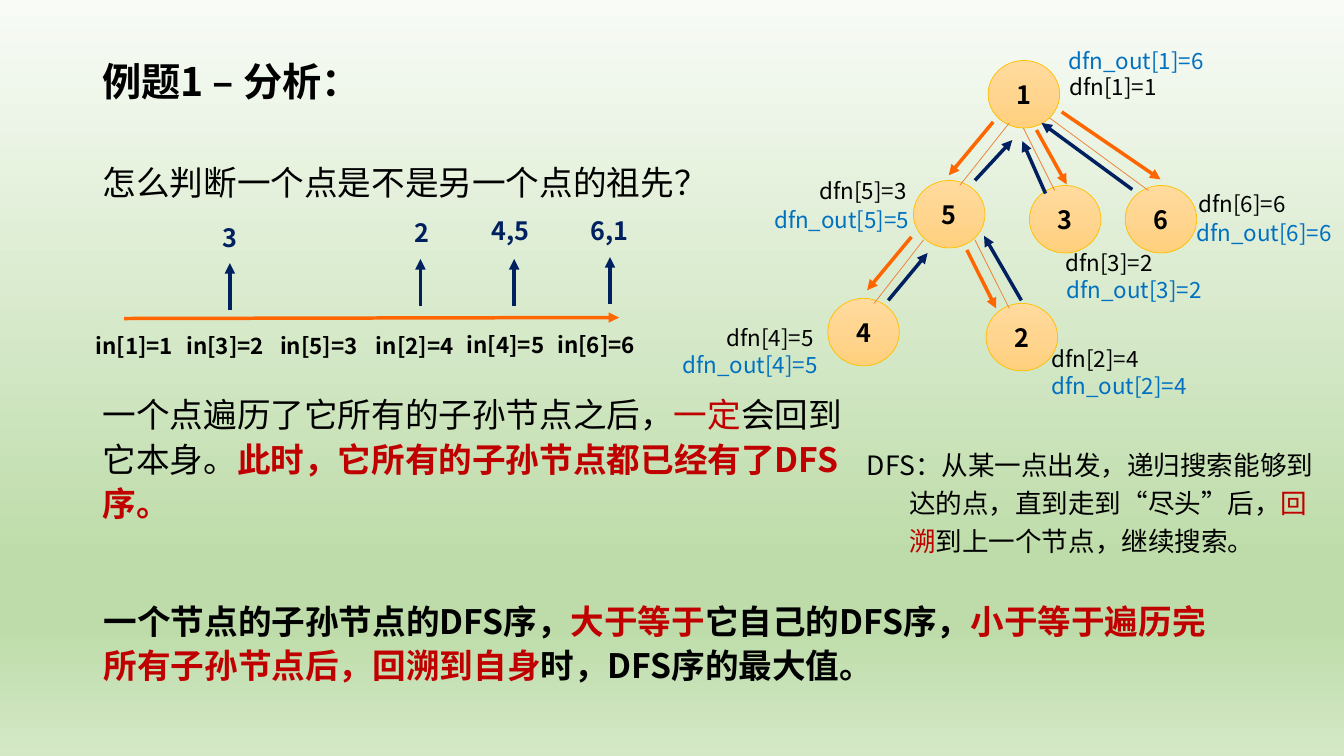
from lxml.etree import SubElement
from pptx import Presentation
from pptx.dml.color import RGBColor
from pptx.enum.shapes import MSO_CONNECTOR, MSO_SHAPE
from pptx.enum.text import MSO_ANCHOR, PP_ALIGN
from pptx.oxml.ns import qn
from pptx.util import Inches, Pt

# The slide is a grid of square cells, 133.3 columns by 75 rows
CELL = Inches(0.1)
COLS, ROWS = 133.3, 75

FONT = "Noto Sans CJK SC"
BLACK = RGBColor(0x00, 0x00, 0x00)
RED = RGBColor(0xC0, 0x00, 0x00)
BLUE = RGBColor(0x00, 0x70, 0xC0)
NAVY = RGBColor(0x00, 0x20, 0x60)
ORANGE = RGBColor(0xFF, 0x66, 0x00)
EDGE = RGBColor(0xED, 0x7D, 0x31)
GOLD = RGBColor(0xFF, 0xC0, 0x00)
NODE_STOPS = [(0, RGBColor(0xFF, 0xDB, 0x9E)), (50, RGBColor(0xFF, 0xD5, 0x90)),
              (100, RGBColor(0xFF, 0xD0, 0x7C))]
BG_STOPS = [(0, RGBColor(0xF8, 0xFB, 0xF6)), (74, RGBColor(0xBE, 0xDC, 0xAA)),
            (83, RGBColor(0xBE, 0xDC, 0xAA)), (100, RGBColor(0xD4, 0xE8, 0xC6))]

CIRCLE = MSO_SHAPE.FLOWCHART_CONNECTOR
STRAIGHT = MSO_CONNECTOR.STRAIGHT
TOP, MIDDLE, BOTTOM = MSO_ANCHOR.TOP, MSO_ANCHOR.MIDDLE, MSO_ANCHOR.BOTTOM
CENTER = PP_ALIGN.CENTER

NODE_W, NODE_H = 7.1, 6.7
LABEL_H = 3.7

# Node: position, dfn and its label position, dfn_out and its label position
TREE = {
    1: ((98, 6), 1, (105.1, 6.8), 6, (105, 4.2)),
    5: ((90.6, 17.9), 3, (80.3, 17.1), 5, (75.8, 20)),
    3: ((102.1, 18.4), 2, (104.7, 24.2), 2, (104.8, 26.9)),
    2: ((97.8, 30.1), 4, (103.3, 33.8), 4, (103.3, 36.4)),
    4: ((82.1, 29.6), 5, (71.1, 31.7), 5, (66.7, 34.3)),
    6: ((111.6, 18.4), 6, (117.9, 18.4), 6, (117.7, 21.2)),
}

# Each branch: thin edge, arrow down to the child, arrow back up
BRANCHES = [
    ((100.1, 12.2, 95.2, 18.4), (98.5, 12.1, 94.1, 17.4), (96.7, 17.9, 100.4, 13.9)),
    ((101.5, 12.7, 104.6, 18.9), (102.8, 12.9, 105.8, 18.3), (103.7, 19.2, 101.4, 14)),
    ((104.1, 11.7, 113.9, 18.9), (105.3, 11.1, 115.1, 17.8), (112.3, 18.8, 103.3, 12.2)),
    ((91.6, 23.8, 86.7, 30.1), (90.4, 23.5, 86, 28.8), (88.1, 29.8, 92, 25.1)),
    ((96.7, 23.8, 100.1, 30.6), (95.9, 24.8, 98.8, 30.6), (101.3, 29.8, 97.6, 23.4)),
]

# Visiting order on the time line: label, column, row
VISITS = [("in[1]=1", 8.5, 32.5), ("in[3]=2", 17.5, 32.5), ("in[5]=3", 26.8, 32.5),
          ("in[2]=4", 36.3, 32.5), ("in[4]=5", 45.3, 32.4), ("in[6]=6", 54.3, 32.4)]

# Nodes finished at a visit: label, label column and row, arrow column and foot
RETURNS = [("3", 21.1, 21.6, 22.8, 30.8), ("2", 40.1, 21.1, 41.7, 30.4),
           ("4,5", 47.8, 20.9, 51, 30.4), ("6,1", 57.6, 20.9, 60.5, 30.2)]


def cells(*values):
    return [round(v * CELL) for v in values]


def set_gradient(fill, element, stops):
    fill.gradient()
    fill.gradient_angle = 270
    gs_list = next(element.iter(qn("a:gsLst")))
    for gs in list(gs_list):
        gs_list.remove(gs)
    for position, color in stops:
        gs = SubElement(gs_list, qn("a:gs"), pos=str(position * 1000))
        SubElement(gs, qn("a:srgbClr"), val=str(color))


def add_runs(p, runs, size, bold=False):
    """Each run is its text, its colour and, if it differs, its weight."""
    for text, color, *weight in runs:
        r = p.add_run()
        r.text = text
        font = r.font
        font.name, font.size = FONT, Pt(size)
        font.bold = weight[0] if weight else bold
        font.color.rgb = color
        SubElement(font._element, qn("a:ea"), typeface=FONT)


def add_text(s, box, paragraphs, size, bold=False, spacing=1.0, before=(0,), anchor=TOP):
    tf = s.shapes.add_textbox(*cells(*box)).text_frame
    tf.word_wrap = True
    tf.vertical_anchor = anchor
    for i, runs in enumerate(paragraphs):
        p = tf.add_paragraph() if i else tf.paragraphs[0]
        p.line_spacing = spacing
        p.space_before = Pt(before[i])
        add_runs(p, runs, size, bold)
    return tf


def add_label(s, x, y, width, text, color, size=16, bold=False):
    add_text(s, (x, y, width, LABEL_H), [[(text, color)]], size, bold)


def add_line(s, ends, color, width=2.5, arrow=True):
    c = s.shapes.add_connector(STRAIGHT, *cells(*ends))
    c.line.color.rgb = color
    c.line.width = Pt(width)
    if arrow:
        SubElement(next(c.element.iter(qn("a:ln"))), qn("a:tailEnd"), type="triangle")
    SubElement(c.element.spPr, qn("a:effectLst"))


def add_node(s, x, y, number):
    sp = s.shapes.add_shape(CIRCLE, *cells(x, y, NODE_W, NODE_H))
    sp.shadow.inherit = False
    set_gradient(sp.fill, sp.element, NODE_STOPS)
    sp.line.color.rgb = GOLD
    sp.line.width = Pt(0.5)
    tf = sp.text_frame
    tf.vertical_anchor = MIDDLE
    p = tf.paragraphs[0]
    p.alignment = CENTER
    add_runs(p, [(str(number), BLACK)], 18, True)


def add_tree(s):
    for number, (place, dfn, dfn_at, out, out_at) in TREE.items():
        add_node(s, *place, number)
        add_label(s, *dfn_at, 11.7, f"dfn[{number}]={dfn}", BLACK)
        add_label(s, *out_at, 16.2, f"dfn_out[{number}]={out}", BLUE)
    for edge, down, up in BRANCHES:
        add_line(s, edge, EDGE, 0.5, arrow=False)
        add_line(s, down, ORANGE)
        add_line(s, up, NAVY)


def add_timeline(s):
    add_line(s, (12.3, 31.6, 61.4, 31.5), ORANGE)
    for text, x, y in VISITS:
        add_label(s, x, y, 10.9, text, BLACK, bold=True)
    for text, x, y, arrow_x, foot in RETURNS:
        add_label(s, x, y, 6.3, text, NAVY, 18, True)
        add_line(s, (arrow_x, foot, arrow_x, foot - 4.7), NAVY)


def main():
    prs = Presentation()
    prs.slide_width, prs.slide_height = cells(COLS, ROWS)
    s = prs.slides.add_slide(prs.slide_layouts[6])
    set_gradient(s.background.fill, s.element, BG_STOPS)

    # Title, question and answer
    add_text(s, (9.2, 4, 115, 6.9), [[("例题1 – 分析：", BLACK)]], 28, True, 0.9,
             anchor=BOTTOM)
    add_text(s, (9.2, 15.2, 75.6, 42.8), [
        [("怎么判断一个点是不是另一个点的祖先？", BLACK)],
        [("一个点遍历了它所有的子孙节点之后，", BLACK), ("一定", RED),
         ("会回到它本身。", BLACK),
         ("此时，它所有的子孙节点都已经有了DFS序。", RED, True)],
    ], 24, spacing=1.1, before=(10, 134))

    add_tree(s)
    add_timeline(s)

    # Definition of the search, with a hanging indent
    tf = add_text(s, (84.6, 43.4, 47.7, 12.6), [[
        ("DFS：从某一点出发，递归搜索能够到达的点，直到走到“尽头”后，", BLACK),
        ("回溯", RED), ("到上一个节点，继续搜索。", BLACK)]], 19, spacing=1.2, before=(4,))
    pPr = tf.paragraphs[0]._p.get_or_add_pPr()
    pPr.set("marL", str(Inches(0.46)))
    pPr.set("indent", str(Inches(-0.42)))

    # Conclusion
    add_text(s, (9.3, 58.7, 111.9, 11.1), [[
        ("一个节点的子孙节点的DFS序，", BLACK), ("大于等于", RED),
        ("它自己的DFS序，", BLACK), ("小于等于遍历完所有子孙节点后，回溯到自身", RED),
        ("时，DFS序的最大值。", BLACK)]], 24, True, 1.1, (10,))

    prs.save("out.pptx")


if __name__ == "__main__":
    main()
